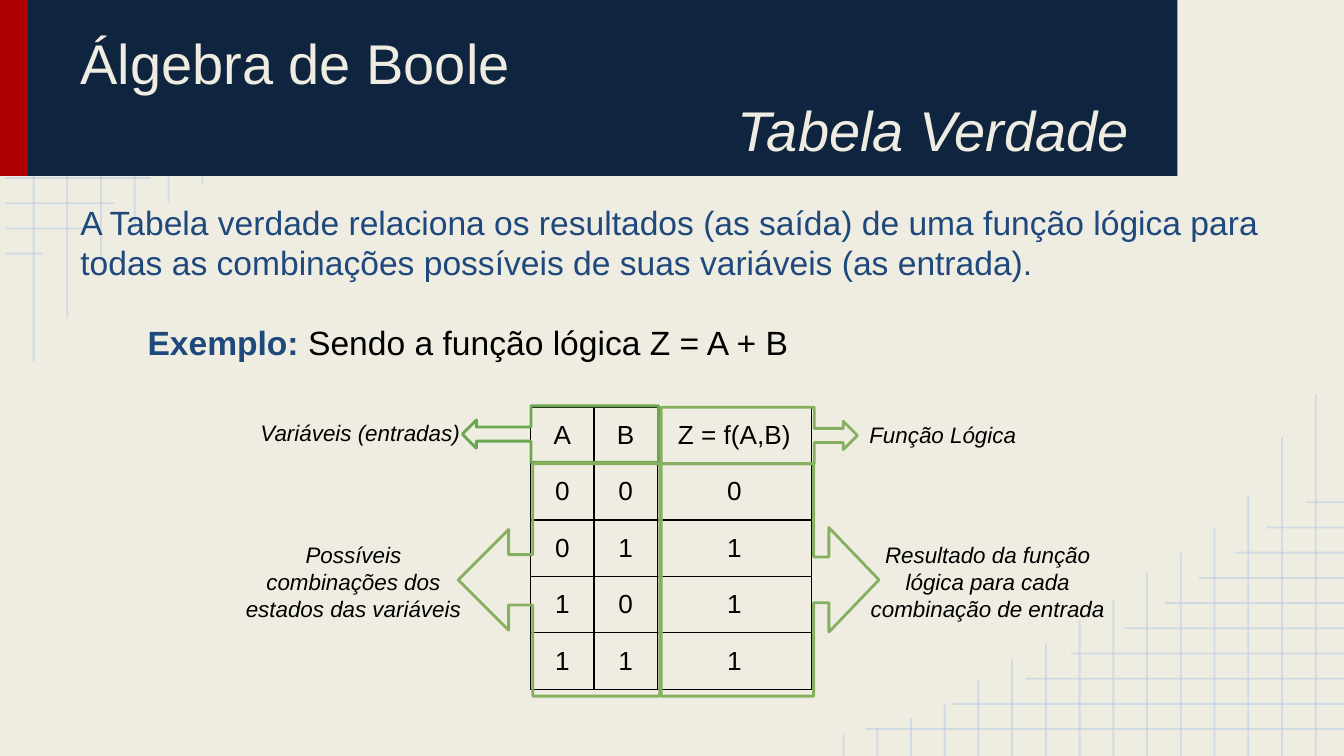
from lxml.etree import SubElement
from pptx import Presentation
from pptx.dml.color import RGBColor
from pptx.enum.shapes import MSO_CONNECTOR, MSO_SHAPE
from pptx.enum.text import MSO_ANCHOR, PP_ALIGN
from pptx.oxml.ns import qn
from pptx.util import Inches, Pt

CREAM = RGBColor(0xEF, 0xED, 0xE2)
NAVY = RGBColor(0x0F, 0x24, 0x3E)
RED = RGBColor(0xAB, 0x01, 0x01)
BLUE = RGBColor(0x1F, 0x49, 0x7D)
PALE = RGBColor(0xB7, 0xCC, 0xE4)
BLACK = RGBColor(0, 0, 0)
GREEN = RGBColor(0x6A, 0xA8, 0x4F)
OLIVE = RGBColor(0x86, 0xB0, 0x60)
LEFT, CENTER, RIGHT = PP_ALIGN.LEFT, PP_ALIGN.CENTER, PP_ALIGN.RIGHT

W = 10
H = W * 9 / 16
BAND_H = 1.31

# Content: a paragraph is (alignment, [(text, colour, bold, italic), ...])
TITLE = [
    (LEFT, [("Álgebra de Boole", CREAM, False, False)]),
    (RIGHT, [("Tabela Verdade", CREAM, False, True)]),
]
BODY = [
    (LEFT, [("A Tabela verdade relaciona os resultados (as saída) de uma função "
             "lógica para todas as combinações possíveis de suas variáveis "
             "(as entrada).", BLUE, False, False)]),
    (LEFT, [("Exemplo: ", BLUE, True, False),
            ("Sendo a função lógica Z = A + B", BLACK, False, False)]),
]
TRUTH = [
    ("A", "B", "Z = f(A,B)"),
    ("0", "0", "0"),
    ("0", "1", "1"),
    ("1", "0", "1"),
    ("1", "1", "1"),
]
COLS, ROW_H = (0.47, 0.47, 1.15), 0.42
TABLE_X, TABLE_Y = 3.95, 3.03

# Callouts: shape, box, adjustments, colour
TO_LEFT, TO_RIGHT = MSO_SHAPE.LEFT_ARROW_CALLOUT, MSO_SHAPE.RIGHT_ARROW_CALLOUT
CALLOUTS = [
    (TO_LEFT, (3.44, 3.02, 1.46, 0.42), (0.25, 0.25, 0.25, 0.65), GREEN),
    (TO_LEFT, (3.41, 3.45, 1.5, 1.73), (0.25, 0.25, 0.25, 0.63), OLIVE),
    (TO_RIGHT, (4.92, 3.03, 1.46, 0.42), (0.25, 0.25, 0.25, 0.78), OLIVE),
    (TO_RIGHT, (4.92, 3.45, 1.62, 1.73), (0.21, 0.24, 0.23, 0.7), OLIVE),
]
LABELS = [
    ("Variáveis (entradas)", (1.84, 3.02, 1.73, 0.42), LEFT),
    ("Possíveis combinações dos estados das variáveis", (1.69, 3.93, 1.88, 0.7), CENTER),
    ("Resultado da função lógica para cada combinação de entrada",
     (6.37, 3.93, 1.96, 0.7), CENTER),
    ("Função Lógica", (6.37, 3.03, 1.41, 0.42), LEFT),
]

# Corner grid: line lengths, from the corner inwards or along the edge
ACROSS = (3.56, 2.92, 2.37, 2.03, 1.63, 1.33, 1.08, 0.81, 0.58, 0.28)
DOWN = (2.69, 2.37, 1.94, 1.7, 1.51, 1.36, 1.16, 1.01, 0.84, 0.72,
        0.56, 0.39, 0.28, 0.2, 0.16)
STEP_X, STEP_Y = 0.25, 0.19

prs = Presentation()
prs.slide_width, prs.slide_height = Inches(W), Inches(H)
s = prs.slides.add_slide(prs.slide_layouts[6])
s.background.fill.solid()
s.background.fill.fore_color.rgb = CREAM


def inches(box):
    return [Inches(v) for v in box]


def add_grid_line(x1, y1, x2, y2):
    c = s.shapes.add_connector(MSO_CONNECTOR.STRAIGHT, *inches((x1, y1, x2, y2)))
    c.line.color.rgb = PALE
    c.line.width = Pt(1)
    color = c.line.fill._xPr.find(".//" + qn("a:srgbClr"))
    SubElement(color, qn("a:alpha"), val="54000")
    SubElement(c._element.spPr, qn("a:effectLst"))


def add_preset(kind, box, fill=None, line=None):
    sp = s.shapes.add_shape(kind, *inches(box))
    sp.shadow.inherit = False
    if fill is None:
        sp.fill.background()
    else:
        sp.fill.solid()
        sp.fill.fore_color.rgb = fill
    if line is None:
        sp.line.fill.background()
    else:
        sp.line.color.rgb = line
        sp.line.width = Pt(1.5)
    return sp


def fill_paragraph(p, align, runs, size):
    p.alignment = align
    for text, color, bold, italic in runs:
        r = p.add_run()
        r.text = text
        f = r.font
        f.name, f.size, f.bold, f.italic = "Arial", Pt(size), bold, italic
        f.color.rgb = color


def set_margins(part, vertical=0.1):
    part.margin_left = part.margin_right = Inches(0.1)
    part.margin_top = part.margin_bottom = Inches(vertical)


def add_text(box, paragraphs, size):
    tf = s.shapes.add_textbox(*inches(box)).text_frame
    tf.word_wrap = True
    set_margins(tf)
    for i, (align, runs) in enumerate(paragraphs):
        p = tf.add_paragraph() if i else tf.paragraphs[0]
        fill_paragraph(p, align, runs, size)
    return tf


def set_borders(cell):
    tcPr = cell._tc.get_or_add_tcPr()
    for i, side in enumerate(("a:lnL", "a:lnR", "a:lnT", "a:lnB")):
        ln = SubElement(tcPr, qn(side), w=str(Pt(0.75)))
        fill = SubElement(ln, qn("a:solidFill"))
        SubElement(fill, qn("a:srgbClr"), val=str(BLACK))
        tcPr.remove(ln)
        tcPr.insert(i, ln)


# Corner grids; at the top left only the lines that reach below the band
for i, length in enumerate(ACROSS, 1):
    y = 0.2 + (i - 1) * 0.1875
    if y > BAND_H:
        add_grid_line(0.04, y, 0.04 + length, y)
    add_grid_line(W, H - y, W - length, H - y)
for i, length in enumerate(DOWN):
    x = 0.25 + i * 0.251
    if length > BAND_H:
        add_grid_line(x, length, x, 0)
    right_x = W + 0.04 - x
    add_grid_line(right_x, H - length, right_x, H)

# Title band
add_preset(MSO_SHAPE.RECTANGLE, (0, 0, 0.21, BAND_H), RED)
add_preset(MSO_SHAPE.RECTANGLE, (0.21, 0, 8.55, BAND_H), NAVY)
add_text((0.5, 0.11, 8, 1.11), TITLE, 30)

# Body text, with the example indented
tf = add_text((0.5, 1.4, 9, 3.97), BODY, 18)
example = tf.paragraphs[1]
example.space_before = Pt(21.5)
example._p.get_or_add_pPr().set("indent", str(Inches(0.5)))

# Truth table
frame = s.shapes.add_table(len(TRUTH), len(COLS), *inches(
    (TABLE_X, TABLE_Y, sum(COLS), ROW_H * len(TRUTH))))
table = frame.table
table.first_row = table.horz_banding = False
for column, width in zip(table.columns, COLS):
    column.width = Inches(width)
for row, values in zip(table.rows, TRUTH):
    row.height = Inches(ROW_H)
    for cell, value in zip(row.cells, values):
        set_margins(cell, 0.09)
        cell.vertical_anchor = MSO_ANCHOR.MIDDLE
        cell.fill.background()
        set_borders(cell)
        fill_paragraph(cell.text_frame.paragraphs[0], CENTER,
                       [(value, BLACK, False, False)], 14)

# Callouts and their labels
for kind, box, adjustments, color in CALLOUTS:
    sp = add_preset(kind, box, line=color)
    for i, value in enumerate(adjustments):
        sp.adjustments[i] = value
for text, box, align in LABELS:
    add_text(box, [(align, [(text, BLACK, False, True)])], 12)

prs.save("out.pptx")
